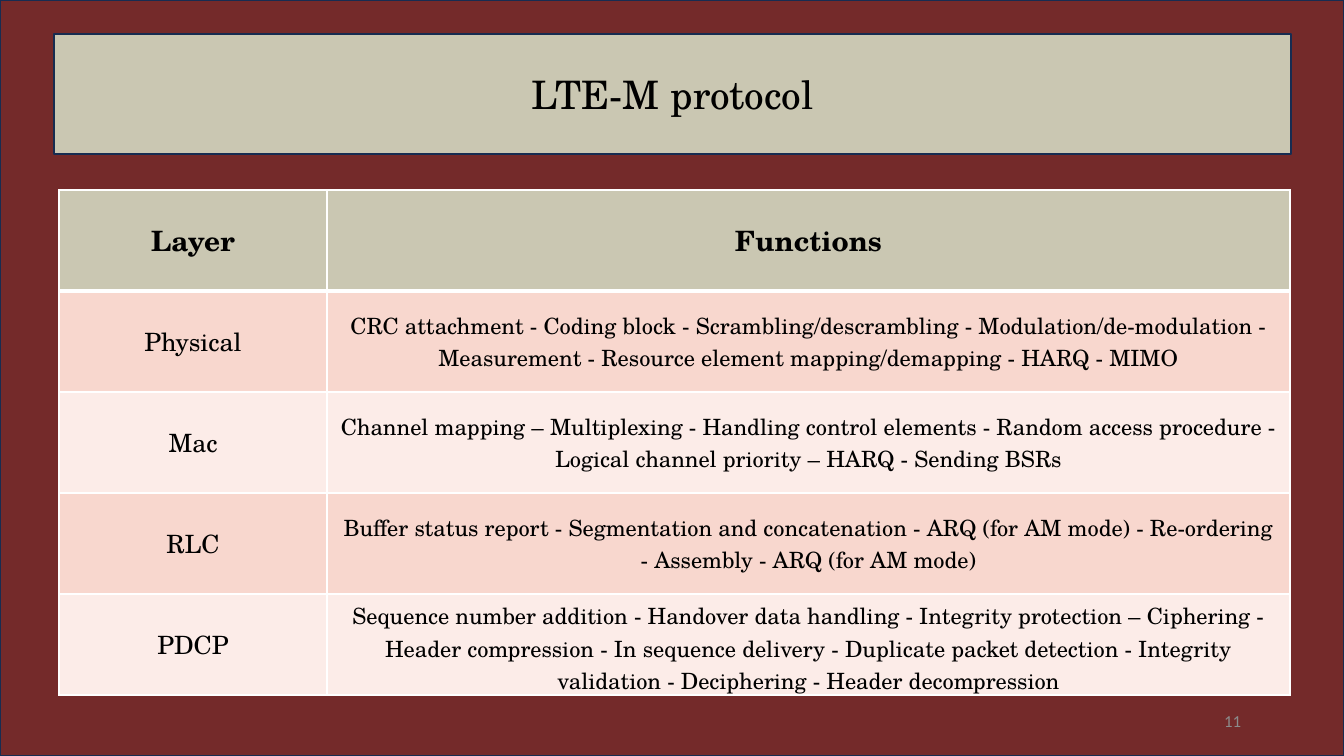
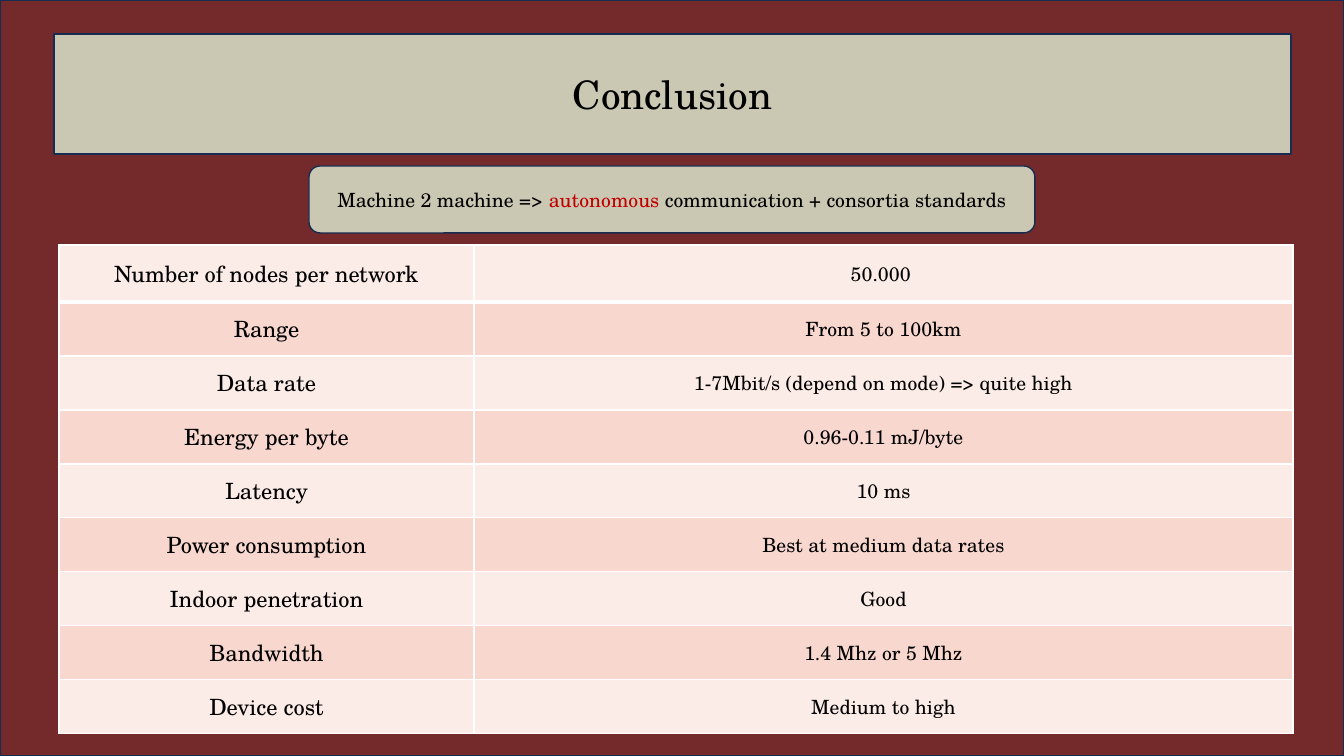
from dataclasses import dataclass
from typing import NamedTuple

from lxml.etree import SubElement
from pptx import Presentation
from pptx.dml.color import RGBColor
from pptx.enum.shapes import MSO_SHAPE as SHAPE
from pptx.enum.text import MSO_ANCHOR as ANCHOR, MSO_AUTO_SIZE as AUTO_SIZE, PP_ALIGN as ALIGN
from pptx.oxml import parse_xml
from pptx.oxml.ns import nsdecls, qn
from pptx.util import Emu, Pt

COLORS = {
    "backdrop": "742A2A", "card": "CAC7B2", "outline": "172C51",
    "text": "000000", "accent": "C00000", "number": "8C8C8C",
    "dark_band": "F8D7CE", "light_band": "FCECE8", "border": "FFFFFF",
}
FONT = "TeX Gyre Schola"
NUMBER_FONT = "Calibri"
EMU_PER_PX = 914400 / 100.8
TITLE_ONLY = 5


class Box(NamedTuple):
    left: int
    top: int
    width: int
    height: int


class Piece(NamedTuple):
    text: str
    color: str = "text"


@dataclass
class TableSpec:
    left: int
    top: int
    cols: list[int]
    row_heights: list[int]
    rows: list[tuple[str, str]]
    sizes: tuple[int, int]      # label and value columns, in points
    header_size: int = 0        # 0: the first row is an ordinary row


SLIDE = Box(0, 0, 1344, 756)
TITLE = Box(54, 34, 1237, 120)
MESSAGE = Box(309, 166, 726, 67)
NUMBER = Box(949, 701, 302, 40)

LAYERS = TableSpec(
    left=59, top=190, cols=[268, 963], row_heights=[101] * 5,
    sizes=(18, 16), header_size=20,
    rows=[
        ("Layer", "Functions"),
        ("Physical", "CRC attachment - Coding block - Scrambling/descrambling - "
                     "Modulation/de-modulation - Measurement - Resource element "
                     "mapping/demapping - HARQ - MIMO"),
        ("Mac", "Channel mapping – Multiplexing - Handling control elements - "
                "Random access procedure - Logical channel priority – HARQ - "
                "Sending BSRs"),
        ("RLC", "Buffer status report - Segmentation and concatenation - "
                "ARQ (for AM mode) - Re-ordering - Assembly - ARQ (for AM mode)"),
        ("PDCP", "Sequence number addition - Handover data handling - "
                 "Integrity protection – Ciphering - Header compression - "
                 "In sequence delivery - Duplicate packet detection - "
                 "Integrity validation - Deciphering - Header decompression"),
    ],
)
SUMMARY = TableSpec(
    left=59, top=245, cols=[415, 819], row_heights=[57] + [54] * 8,
    sizes=(16, 14),
    rows=[
        ("Number of nodes per network", "50.000 "),
        ("Range", "From 5 to 100km"),
        ("Data rate", "1-7Mbit/s (depend on mode) => quite high"),
        ("Energy per byte", "0.96-0.11 mJ/byte"),
        ("Latency", "10 ms"),
        ("Power consumption", "Best at medium data rates"),
        ("Indoor penetration", "Good"),
        ("Bandwidth", "1.4 Mhz or 5 Mhz"),
        ("Device cost", "Medium to high"),
    ],
)


def px(n: int) -> Emu:
    return Emu(round(n * EMU_PER_PX))


def rgb(name: str) -> RGBColor:
    return RGBColor.from_string(COLORS[name])


def paint(sp, fill: str) -> None:
    sp.fill.solid()
    sp.fill.fore_color.rgb = rgb(fill)
    sp.line.color.rgb = rgb("outline")
    sp.line.width = Pt(1)


def style_run(r, size: int, color: str = "text", font: str = FONT, bold: bool = False) -> None:
    r.font.name = font
    r.font.size = Pt(size)
    r.font.bold = bold
    r.font.color.rgb = rgb(color)


def add_panel(slide, kind, box: Box, fill: str):
    sp = slide.shapes.add_shape(kind, *map(px, box))
    sp.shadow.inherit = False
    paint(sp, fill)
    return sp


# Shared slide parts: backdrop and title card
def add_slide(prs, title: str):
    slide = prs.slides.add_slide(prs.slide_layouts[TITLE_ONLY])
    backdrop = add_panel(slide, SHAPE.RECTANGLE, SLIDE, "backdrop")
    slide.shapes._spTree.insert(2, backdrop._element)

    sp = slide.shapes.title
    sp.left, sp.top, sp.width, sp.height = map(px, TITLE)
    sp._element.spPr.append(parse_xml(
        f'<a:prstGeom {nsdecls("a")} prst="roundRect"><a:avLst/></a:prstGeom>'))
    paint(sp, "card")
    tf = sp.text_frame
    tf.text = title
    tf.auto_size = AUTO_SIZE.NONE
    tf.vertical_anchor = ANCHOR.MIDDLE
    p = tf.paragraphs[0]
    p.alignment = ALIGN.CENTER
    style_run(p.runs[0], 28)
    return slide


def add_message(slide, box: Box, pieces: list[Piece]) -> None:
    sp = add_panel(slide, SHAPE.ROUNDED_RECTANGLE, box, "card")
    tf = sp.text_frame
    tf.vertical_anchor = ANCHOR.MIDDLE
    p = tf.paragraphs[0]
    p.alignment = ALIGN.CENTER
    for piece in pieces:
        r = p.add_run()
        r.text = piece.text
        style_run(r, 14, piece.color)


def add_number(slide, number: str) -> None:
    tf = slide.shapes.add_textbox(*map(px, NUMBER)).text_frame
    tf.word_wrap = True
    tf.vertical_anchor = ANCHOR.MIDDLE
    tf.text = number
    p = tf.paragraphs[0]
    p.alignment = ALIGN.RIGHT
    style_run(p.runs[0], 12, "number", NUMBER_FONT)


# Tables
def set_borders(cell, top: int, bottom: int) -> None:
    tc_pr = cell._tc.get_or_add_tcPr()
    widths = {"a:lnL": 1, "a:lnR": 1, "a:lnT": top, "a:lnB": bottom}
    for i, (tag, width) in enumerate(widths.items()):
        ln = SubElement(tc_pr, qn(tag), w=str(Pt(width)))
        fill = SubElement(ln, qn("a:solidFill"))
        SubElement(fill, qn("a:srgbClr"), val=COLORS["border"])
        tc_pr.insert(i, ln)


def add_table(slide, spec: TableSpec) -> None:
    box = Box(spec.left, spec.top, sum(spec.cols), sum(spec.row_heights))
    table = slide.shapes.add_table(len(spec.rows), len(spec.cols), *map(px, box)).table
    table.first_row = table.horz_banding = False
    for col, width in zip(table.columns, spec.cols):
        col.width = px(width)
    for i, texts in enumerate(spec.rows):
        table.rows[i].height = px(spec.row_heights[i])
        is_header = i == 0 and spec.header_size > 0
        band = "card" if is_header else ("light_band", "dark_band")[i % 2]
        for j, text in enumerate(texts):
            cell = table.cell(i, j)
            cell.fill.solid()
            cell.fill.fore_color.rgb = rgb(band)
            # A thick rule separates the first row from the rest
            set_borders(cell, top=3 if i == 1 else 1, bottom=3 if i == 0 else 1)
            cell.vertical_anchor = ANCHOR.MIDDLE
            cell.text_frame.text = text
            p = cell.text_frame.paragraphs[0]
            p.alignment = ALIGN.CENTER
            style_run(p.runs[0], spec.header_size if is_header else spec.sizes[j],
                      bold=is_header)


def main() -> None:
    prs = Presentation()
    prs.slide_width, prs.slide_height = px(SLIDE.width), px(SLIDE.height)

    # Protocol layers
    slide = add_slide(prs, "LTE-M protocol")
    add_number(slide, "11")
    add_table(slide, LAYERS)

    # Conclusion
    slide = add_slide(prs, "Conclusion")
    add_message(slide, MESSAGE, [
        Piece("Machine 2 machine => "),
        Piece("autonomous", "accent"),
        Piece(" communication + consortia standards"),
    ])
    add_table(slide, SUMMARY)

    prs.save("out.pptx")


if __name__ == "__main__":
    main()
